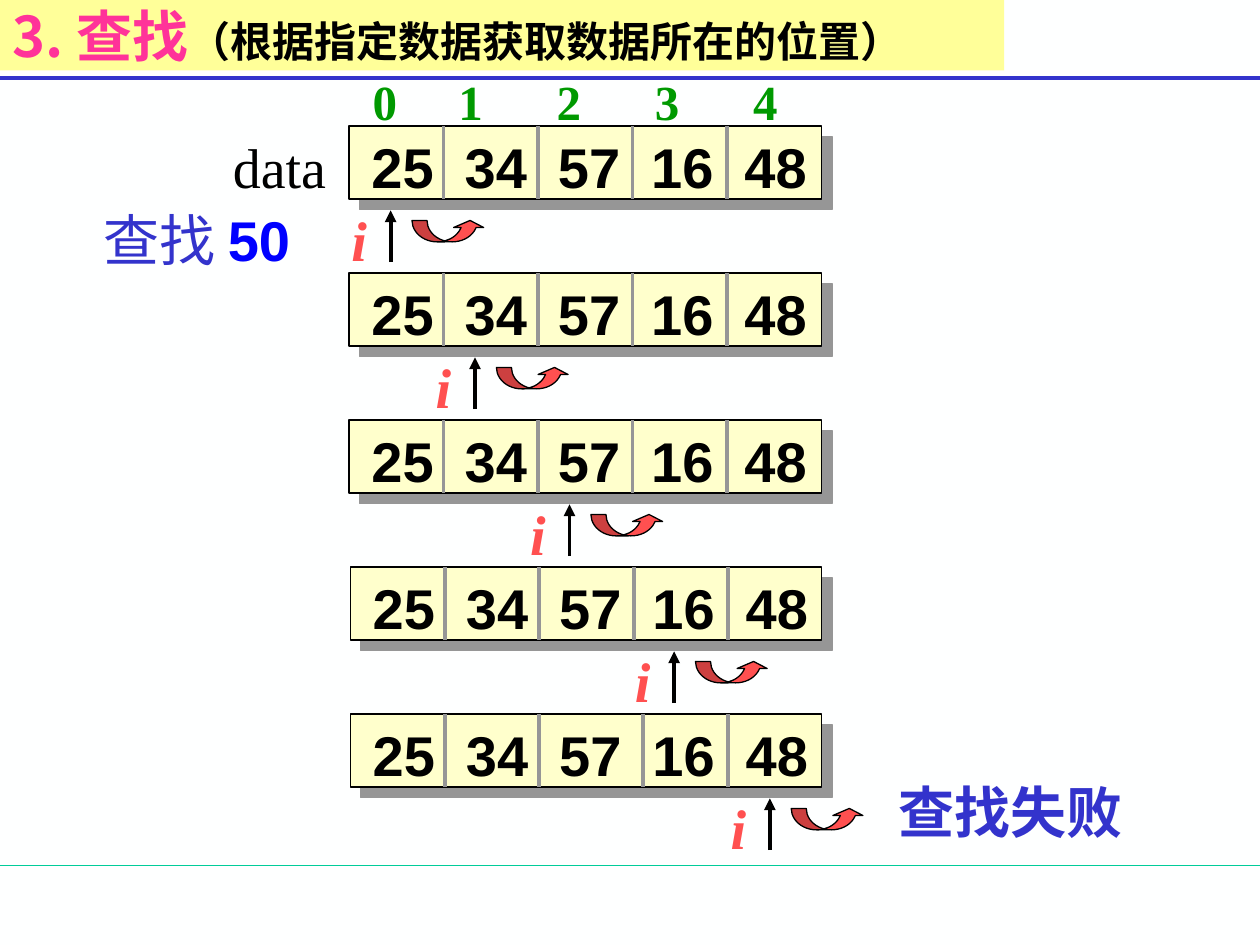
"""Build the sequential search slide: each row shows one step of looking for 50."""
from lxml import etree
from pptx import Presentation
from pptx.dml.color import RGBColor
from pptx.enum.shapes import MSO_CONNECTOR, MSO_SHAPE
from pptx.enum.text import MSO_ANCHOR, MSO_AUTO_SIZE, PP_ALIGN
from pptx.oxml import parse_xml
from pptx.oxml.ns import nsdecls, qn
from pptx.util import Inches, Pt

STRAIGHT = MSO_CONNECTOR.STRAIGHT
RECT, CURVED_ARROW = MSO_SHAPE.RECTANGLE, MSO_SHAPE.CURVED_UP_ARROW
LEFT, MIDDLE, NO_FIT = PP_ALIGN.LEFT, MSO_ANCHOR.MIDDLE, MSO_AUTO_SIZE.NONE
SERIF, SANS, CJK = "Times New Roman", "Arial", "Noto Sans CJK SC"
COLORS = {
    "background": "FEFFFF", "black": "000000", "blue": "3333CC",
    "target": "0000FF", "green": "009900", "teal": "00CC99", "red": "FF5050",
    "pink": "FF3399", "cell": "FFFFCC", "banner": "FFFF99", "grey": "969696",
}
RGB = {name: RGBColor.from_string(value) for name, value in COLORS.items()}


def add_text(tf, runs, tabs=()):
    """Write runs of (text, color, font attributes) into the first paragraph."""
    p = tf.paragraphs[0]
    p.alignment = LEFT
    if tabs:
        tab_list = etree.SubElement(p._p.get_or_add_pPr(), qn("a:tabLst"))
        for tab in tabs:
            etree.SubElement(tab_list, qn("a:tab"), pos=str(Inches(tab)), algn="l")
    for text, color, style in runs:
        r = p.add_run()
        r.text = text
        for attr, value in style.items():
            setattr(r.font, attr, value)
        r.font.color.rgb = RGB[color]
        etree.SubElement(r._r.get_or_add_rPr(), qn("a:ea"), typeface=CJK)


def add_line(x1, y1, x2, y2, color, width, arrow=False):
    """Draw a straight line, with an arrowhead at its end if asked."""
    line = s.shapes.add_connector(STRAIGHT, Inches(x1), Inches(y1), Inches(x2), Inches(y2))
    line.line.color.rgb = RGB[color]
    line.line.width = Pt(width)
    if arrow:
        etree.SubElement(line.line._get_or_add_ln(), qn("a:tailEnd"), type="triangle")
    etree.SubElement(line._element.spPr, qn("a:effectLst"))


prs = Presentation()
prs.slide_width, prs.slide_height = Inches(10), Inches(7.5)
s = prs.slides.add_slide(prs.slide_layouts[5])
s.background.fill.solid()
s.background.fill.fore_color.rgb = RGB["background"]

add_line(0, 6.87, 10, 6.87, "teal", 0.75)
add_line(0, 0.62, 10, 0.62, "blue", 2.25)

title = s.shapes.title
title.left, title.top, title.width, title.height = 0, 0, Inches(7.97), Inches(0.56)
title.fill.solid()
title.fill.fore_color.rgb = RGB["banner"]
tf = title.text_frame
tf.word_wrap, tf.auto_size, tf.vertical_anchor = True, NO_FIT, MIDDLE
add_text(tf, [
    ("3. 查找", "pink", {"size": Pt(32), "bold": True, "name": CJK}),
    ("（根据指定数据获取数据所在的位置）", "black", {"size": Pt(24), "bold": True, "name": CJK}),
])

SERIF_32 = {"size": Pt(32), "name": SERIF}
SANS_BOLD = {"size": Pt(32), "name": SANS, "bold": True}
INDEX = {"size": Pt(28), "name": SERIF, "bold": True}
POINTER = {**SERIF_32, "bold": True, "italic": True}
VALUE_TABS = [0.74 * n for n in range(1, 5)]
INDEX_TABS = [0.68 + 0.78 * n for n in range(4)]
ROW_TOP, ROW_STEP, ROW_HEIGHT, ROW_RIGHT, CELL_WIDTH = 1, 3.5 / 3, 0.58, 6.52, 0.75
ROW_LEFTS = [2.77, 2.77, 2.77, 2.78, 2.78]
POINTER_LEFTS = [2.69, 3.36, 4.11, 4.94, 5.7]

texts = [
    (2.86, 0.52, 3.6, 0.57, [("0\t1\t2\t3\t4", "green", INDEX)], INDEX_TABS),
    (1.75, 1, 1.02, 0.64, [("data", "black", SERIF_32)], ()),
    (0.72, 1.58, 1.95, 0.64, [("查找 ", "blue", SERIF_32), ("50", "target", SANS_BOLD)], ()),
    (7.03, 6.12, 2.1, 0.64, [("查找失败", "blue", {**SERIF_32, "bold": True})], ()),
]

for step, (left, pointer_left) in enumerate(zip(ROW_LEFTS, POINTER_LEFTS)):
    top = ROW_TOP + step * ROW_STEP
    bottom = top + ROW_HEIGHT
    row = s.shapes.add_shape(RECT, Inches(left), Inches(top),
                             Inches(ROW_RIGHT - left), Inches(ROW_HEIGHT))
    row.fill.solid()
    row.fill.fore_color.rgb = RGB["cell"]
    row.line.color.rgb = RGB["black"]
    row.line.width = Pt(0.75)
    row._element.spPr.append(parse_xml(
        f'<a:effectLst {nsdecls("a")}><a:outerShdw dist="{Pt(8.5)}" dir="2700000" '
        f'algn="ctr" rotWithShape="0"><a:srgbClr val="{COLORS["grey"]}"/>'
        '</a:outerShdw></a:effectLst>'))

    dividers = [left + CELL_WIDTH * n for n in range(1, 5)]
    if step == 4:
        dividers[2] = 5.1
    for x in dividers:
        add_line(x, top, x, bottom, "grey", 2.25)

    arrow_x = pointer_left + 0.41
    add_line(arrow_x, top + 1.08, arrow_x, top + 0.67, "black", 2.25, arrow=True)
    curve = s.shapes.add_shape(CURVED_ARROW, Inches(pointer_left + 0.58), Inches(top + 0.75),
                               Inches(0.58), Inches(0.17))
    for n, value in enumerate((0.7, 1.4, 0.33)):
        curve.adjustments[n] = value
    curve.shadow.inherit = False
    curve.fill.solid()
    curve.fill.fore_color.rgb = RGB["red"]
    curve.line.color.rgb = RGB["black"]
    curve.line.width = Pt(0.75)

    texts.append((left + 0.08, top, 3.83, 0.64,
                  [("25\t34\t57\t16\t48", "black", SANS_BOLD)], VALUE_TABS))
    texts.append((pointer_left, bottom, 0.36, 0.64, [("i", "red", POINTER)], ()))

for left, top, width, height, runs, tabs in texts:
    box = s.shapes.add_textbox(Inches(left), Inches(top), Inches(width), Inches(height))
    box.text_frame.word_wrap = True
    add_text(box.text_frame, runs, tabs)

prs.save("out.pptx")
